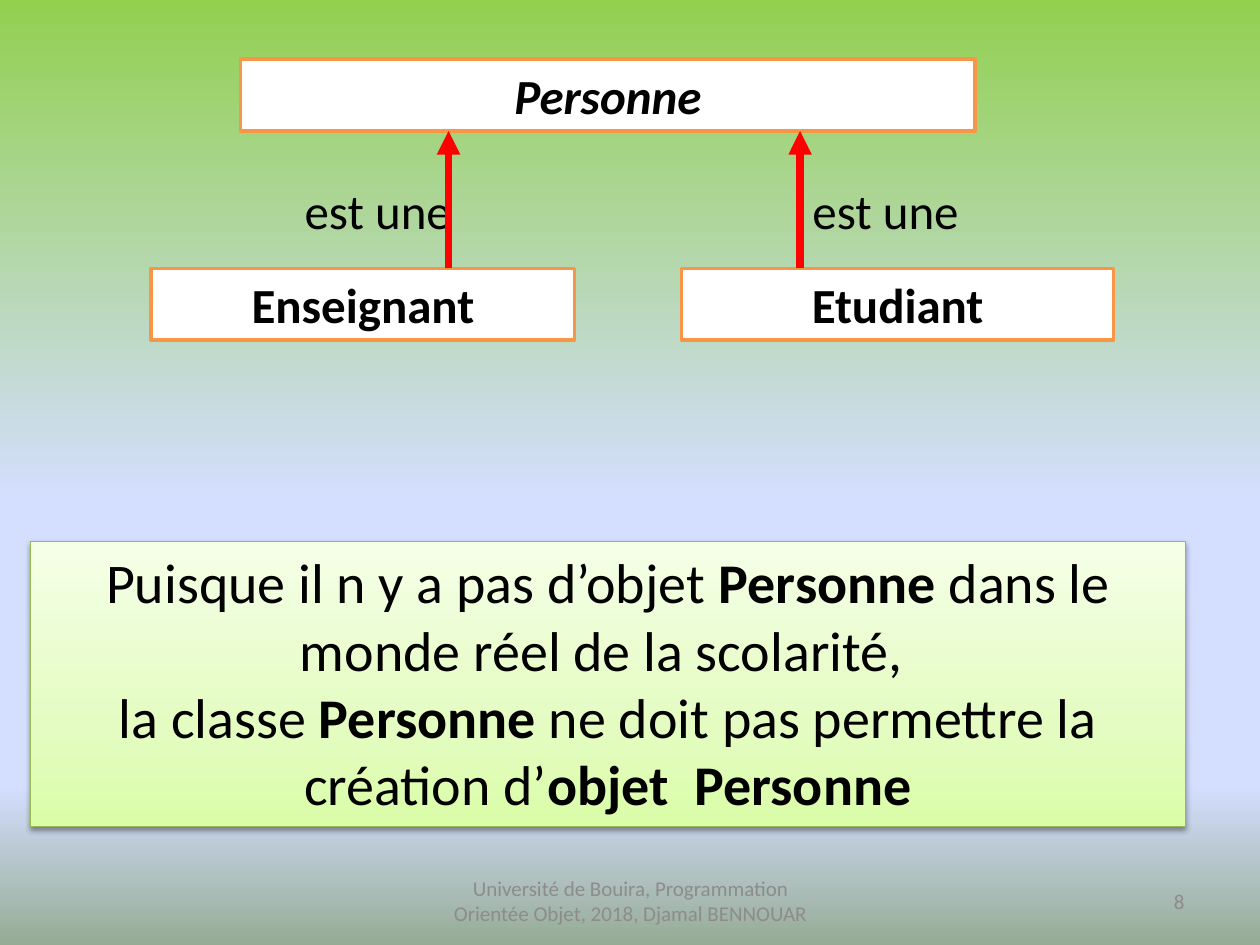
import pptx
import pptx.dml.color
import pptx.enum.shapes
import pptx.enum.text
import pptx.oxml
import pptx.oxml.ns
import pptx.util

WIDE, HIGH = 10, 7.5
FONT = "Calibri"
COLORS = {"ink": "000000", "note": "8C8C8C", "paper": "FFFFFF",
          "frame": "F79646", "arrow": "FF0000", "edge": "98B955"}
SKY = [(0, "92D050"), (53, "D4DEFF"), (83, "D4DEFF"), (100, "96AB94")]
LIME = [(0, "DAFDA7"), (35, "E4FCC2"), (100, "F5FFE7")]
ALIGN = pptx.enum.text.PP_ALIGN
ANCHOR = pptx.enum.text.MSO_ANCHOR

# Rows of the class diagram
TOP, LABEL, LOW, TALL = 0.47, 1.38, 2.13, 0.57


def color(name):
    return pptx.dml.color.RGBColor.from_string(COLORS[name])


def inches(*sizes):
    return [pptx.util.Inches(size) for size in sizes]


def node(text):
    """Parse a piece of DrawingML whose root is in the a: namespace."""
    return pptx.oxml.parse_xml(
        text.replace(">", " " + pptx.oxml.ns.nsdecls("a") + ">", 1))


def blend(owner, fill, stops, angle):
    """Give the owner a gradient with any number of stops."""
    fill.gradient()
    grad = owner.element.xpath(".//a:gradFill")[0]
    for child in list(grad):
        grad.remove(child)
    marks = "".join(f'<a:gs pos="{pos * 1000}"><a:srgbClr val="{tone}"/></a:gs>'
                    for pos, tone in stops)
    grad.append(node(f"<a:gsLst >{marks}</a:gsLst>"))
    lin = node("<a:lin ></a:lin>")
    lin.set("ang", str(angle * 60000))
    lin.set("scaled", "0")
    grad.append(lin)


def write(shape, paras, size, align=ALIGN.CENTER, tone="ink", **style):
    """Fill the shape with paragraphs, each a list of (text, bold) runs."""
    frame = shape.text_frame
    for key, value in ({"word_wrap": True, "vertical_anchor": ANCHOR.TOP} | style).items():
        setattr(frame, key, value)
    for num, runs in enumerate(paras):
        para = frame.add_paragraph() if num else frame.paragraphs[0]
        para.alignment = align
        for text, bold in runs:
            run = para.add_run()
            run.text = text
            looks = {"name": FONT, "size": pptx.util.Pt(size), "bold": bold}
            for key, value in looks.items():
                setattr(run.font, key, value)
            run.font.color.rgb = color(tone)


def panel(slide, area, edge, width):
    shape = slide.shapes.add_shape(
        pptx.enum.shapes.MSO_SHAPE.RECTANGLE, *inches(*area))
    shape.shadow.inherit = False
    shape.line.color.rgb = color(edge)
    shape.line.width = pptx.util.Pt(width)
    return shape


def box(slide, name, left, top, width):
    """Draw a class of the diagram."""
    shape = panel(slide, (left, top, width, TALL), "frame", 2)
    shape.fill.solid()
    shape.fill.fore_color.rgb = color("paper")
    write(shape, [[(name, True)]], 28)
    return shape


def label(slide, text, area, size, **style):
    shape = slide.shapes.add_textbox(*inches(*area))
    write(shape, [[(text, False)]], size, **style)


def arrow(slide, col):
    """Point from a subclass up to its parent."""
    link = slide.shapes.add_connector(
        pptx.enum.shapes.MSO_CONNECTOR.STRAIGHT,
        *inches(col, LOW, col, TOP + TALL))
    link.line.color.rgb = color("arrow")
    link.line.width = pptx.util.Pt(4.5)
    link.line._get_or_add_ln().append(node('<a:tailEnd type="triangle"></a:tailEnd>'))
    link.element.spPr.append(node("<a:effectLst></a:effectLst>"))


def remark(slide):
    shape = panel(slide, (0.24, 4.3, 9.17, 2.26), "edge", 0.75)
    blend(shape, shape.fill, LIME, 270)
    shape.element.spPr.xpath("a:effectLst")[0].append(node(
        '<a:outerShdw blurRad="39370" dist="20320" dir="5400000" rotWithShape="0">'
        '<a:srgbClr val="000000"><a:alpha val="38000"/></a:srgbClr></a:outerShdw>'))
    write(shape, [
        [("Puisque il n y a pas d’objet ", False), ("Personne", True),
         (" dans le monde réel de la scolarité, ", False)],
        [("la classe ", False), ("Personne", True),
         (" ne doit pas permettre la création d’", False),
         ("objet  Personne", True)],
    ], 32)


def footer(slide):
    style = {"tone": "note", "vertical_anchor": ANCHOR.MIDDLE}
    label(slide, "Université de Bouira, Programmation Orientée Objet, 2018, Djamal BENNOUAR",
          (3.42, 6.95, 3.17, 0.4), 12, **style)
    label(slide, "8", (7.17, 6.95, 2.33, 0.4), 12, align=ALIGN.RIGHT, **style)


def diagram(slide):
    base = box(slide, "Personne", 1.91, TOP, 5.83)
    base.text_frame.paragraphs[0].runs[0].font.italic = True
    box(slide, "Enseignant", 1.2, LOW, 3.36)
    box(slide, "Etudiant", 5.41, LOW, 3.43)
    arrow(slide, 6.35)
    for left in (2.32, 6.35):
        label(slide, "est une", (left, LABEL, 1.47, TALL), 28,
              align=ALIGN.LEFT, word_wrap=False)
    arrow(slide, 3.56)


def main():
    deck = pptx.Presentation()
    deck.slide_width, deck.slide_height = inches(WIDE, HIGH)
    slide = deck.slides.add_slide(deck.slide_layouts[6])
    blend(slide, slide.background.fill, SKY, 90)
    footer(slide)
    remark(slide)
    diagram(slide)
    deck.save("out.pptx")


if __name__ == "__main__":
    main()
